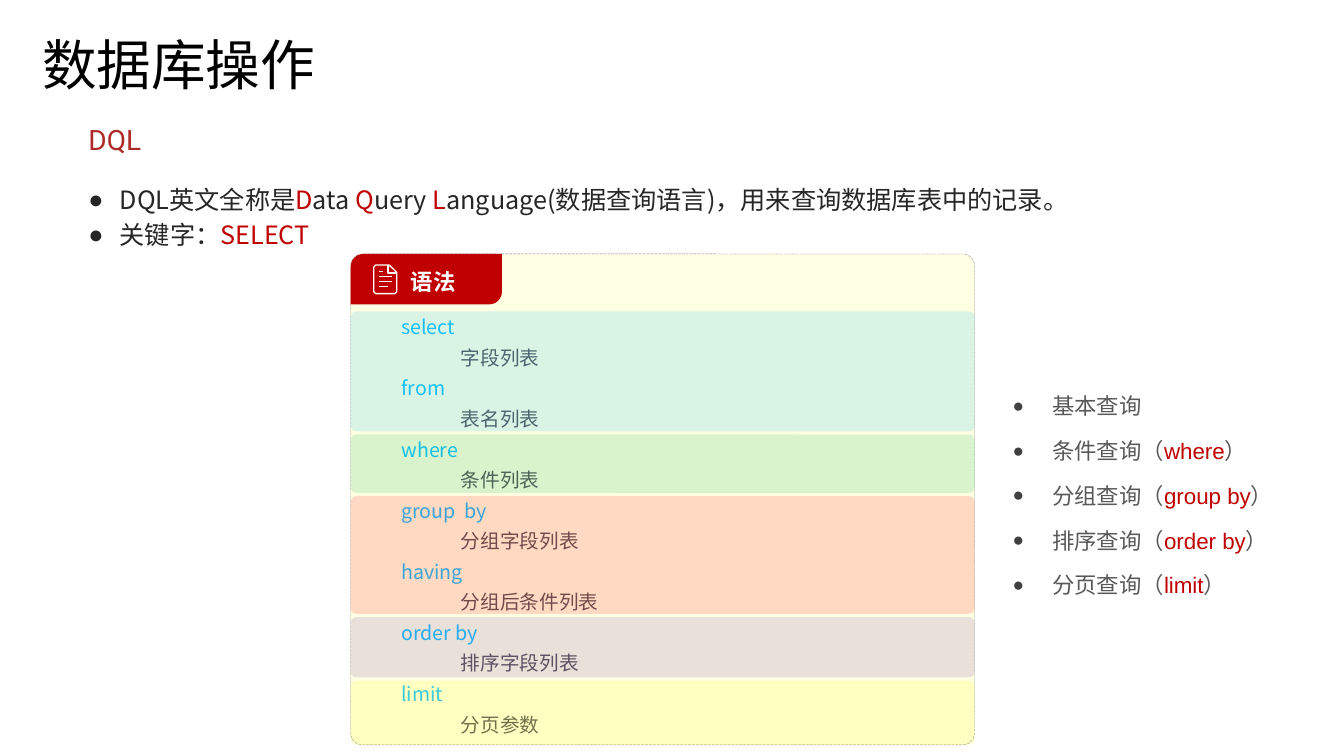
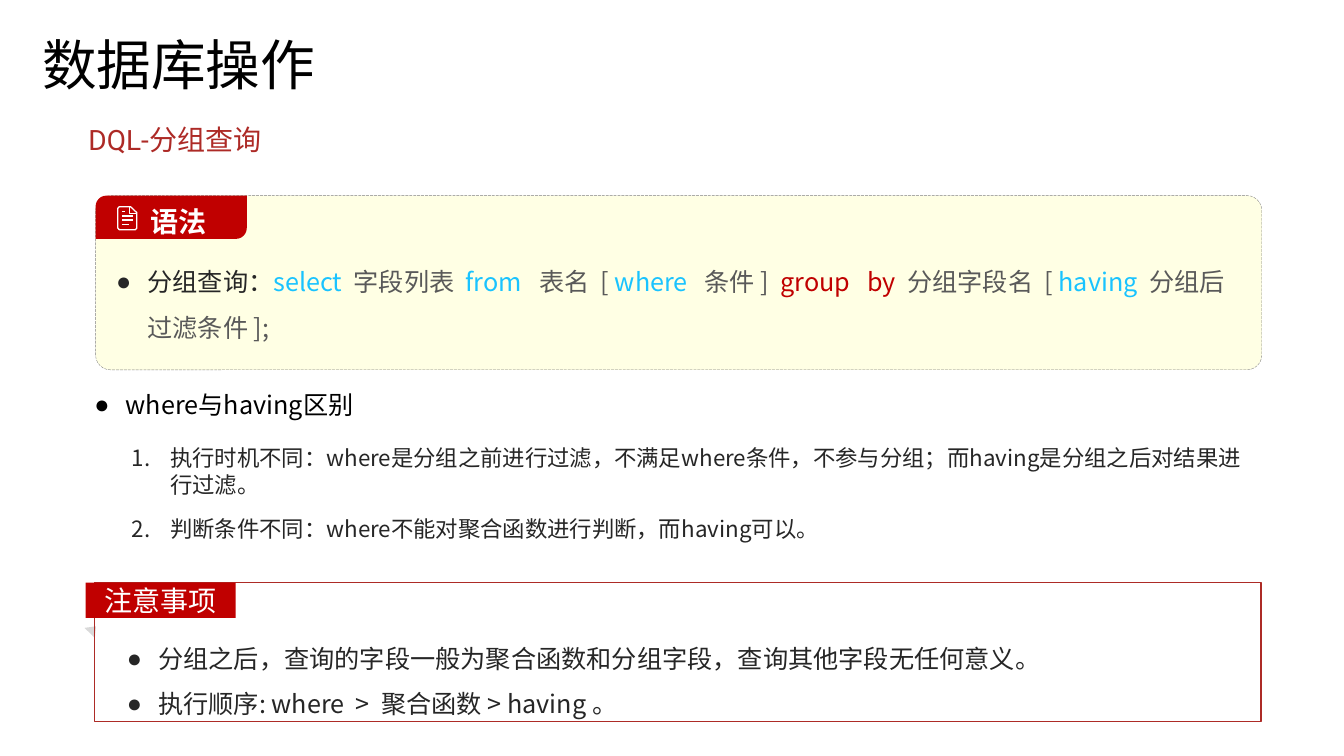
from lxml import etree
from pptx import Presentation
from pptx import util as u
from pptx.dml.color import RGBColor
from pptx.enum import dml, shapes, text
from pptx.oxml.ns import qn

RED, SKY, GREY, INK = "C00000", "19C3FF", "595959", "262626"
BRICK, CREAM, WHITE, BLACK = "AD2A26", "FFFFE4", "FFFFFF", "000000"
CJK, SANS = "Noto Sans CJK JP", "Arial"
KIND = shapes.MSO_SHAPE
LEFT, MID = text.PP_ALIGN.LEFT, text.PP_ALIGN.CENTER
TOP, CENTER = text.MSO_ANCHOR.TOP, text.MSO_ANCHOR.MIDDLE


def tint(color, code):
    """Give a fill, line or font colour a hex value."""
    color.rgb = RGBColor.from_string(code)


def paint(fill, code):
    """Fill with one hex colour, or clear the fill."""
    if code:
        fill.solid()
        tint(fill.fore_color, code)
    else:
        fill.background()


class Deck:
    """Holds the style and the current slide."""

    def __init__(self):
        """Start an empty wide deck."""
        self.prs = Presentation()
        self.prs.slide_width = u.Cm(33.87)
        self.prs.slide_height = u.Cm(19.05)

    def page(self, head, sub):
        """Add a slide with its title and subtitle."""
        self.slide = self.prs.slides.add_slide(self.prs.slide_layouts[5])
        title = self.slide.shapes.title
        title.left, title.top = u.Cm(0.81), u.Cm(0.71)
        title.width, title.height = u.Cm(15.9), u.Cm(1.98)
        self.fill(title, [head], 39, BLACK, "Noto Sans CJK SC", lead=0.9, anchor=CENTER)
        self.box((1.98, 2.79, 29.72, 1.45), [sub], 20, BRICK, "Roboto", anchor=CENTER)

    def mark(self, para, sign, hang, dot):
        """Give a paragraph a hanging bullet or number."""
        props = para._p.get_or_add_pPr()
        props.set("marL", str(u.Cm(hang)))
        props.set("indent", str(-u.Cm(hang)))
        if sign == "1.":
            etree.SubElement(props, qn("a:buAutoNum"), type="arabicPeriod")
            return
        if dot:
            tone = etree.SubElement(props, qn("a:buClr"))
            etree.SubElement(tone, qn("a:srgbClr"), val=dot)
            etree.SubElement(props, qn("a:buSzPct"), val="85000")
        etree.SubElement(props, qn("a:buFont"), typeface=SANS)
        etree.SubElement(props, qn("a:buChar"), char=sign)

    def fill(self, shape, lines, size, color, font=CJK, sign=None, hang=0.79,
             dot=None, lead=1.0, gap=0, bold=False, align=LEFT, anchor=TOP,
             pad=(0.25, 0.13, 0.25, 0.13)):
        """Put lines, each a string or a list of (text, colour) runs, in a shape."""
        frame = shape.text_frame
        frame.word_wrap = True
        frame.auto_size = text.MSO_AUTO_SIZE.NONE
        frame.vertical_anchor = anchor
        (frame.margin_left, frame.margin_top,
         frame.margin_right, frame.margin_bottom) = map(u.Cm, pad)
        for i, line in enumerate(lines):
            para = frame.add_paragraph() if i else frame.paragraphs[0]
            if sign:
                self.mark(para, sign, hang, dot)
            para.alignment = align
            para.line_spacing = lead
            para.space_before = u.Pt(gap if i else 0)
            para.font.size, para.font.name, para.font.bold = u.Pt(size), font, bold
            tint(para.font.color, color)
            for part, tone in [(line, None)] if isinstance(line, str) else line:
                run = para.add_run()
                run.text = part
                if tone:
                    tint(run.font.color, tone)
        return frame

    def box(self, at, lines, size, color, *args, **style):
        """Add a text box."""
        shape = self.slide.shapes.add_textbox(*map(u.Cm, at))
        return self.fill(shape, lines, size, color, *args, **style)

    def shape(self, kind, at, fill=None, line=None, width=0.25, turn=0):
        """Add a flat preset shape."""
        shape = self.slide.shapes.add_shape(kind, *map(u.Cm, at))
        shape.shadow.inherit = False
        shape.rotation = turn
        paint(shape.fill, fill)
        paint(shape.line.fill, line)
        if line:
            shape.line.width = u.Pt(width)
        return shape

    def card(self, at, curve):
        """Add a cream card with a dashed edge."""
        card = self.shape(KIND.ROUNDED_RECTANGLE, at, CREAM, "808080")
        card.line.dash_style = dml.MSO_LINE.LONG_DASH
        card.adjustments[0] = curve
        return card

    def tag(self, left, top, high, size, inset):
        """Add the red syntax tag in a card's corner."""
        tag = self.shape(KIND.ROUND_2_DIAG_RECTANGLE, (left, top, 3.81, high), RED)
        tag.adjustments[0], tag.adjustments[1] = 0.25, 0
        self.fill(tag, ["语法"], size, WHITE, lead=1.5, bold=True,
                  anchor=CENTER, pad=(inset, 0, 0.1, 0.2))

    def icon(self, left, top, wide, high):
        """Draw a folded sheet with its lines of text."""
        strokes = [
            [(0.67, 0), (0.08, 0), (0, 0.07), (0, 0.93), (0.08, 1), (0.92, 1),
             (1, 0.93), (1, 0.26), (0.67, 0)],
            [(0.62, 0), (0.62, 0.28), (1, 0.28)],
            [(0.22, 0.22), (0.4, 0.22)],
            [(0.22, 0.4), (0.78, 0.4)],
            [(0.22, 0.58), (0.78, 0.58)],
            [(0.22, 0.76), (0.6, 0.76)],
        ]
        lines = [[(u.Cm(left + x * wide), u.Cm(top + y * high)) for x, y in stroke]
                 for stroke in strokes]
        pen = self.slide.shapes.build_freeform(*lines[0][0])
        for i, line in enumerate(lines):
            if i:
                pen.move_to(*line[0])
            pen.add_line_segments(line[1:], close=False)
        sheet = pen.convert_to_shape()
        sheet.shadow.inherit = False
        paint(sheet.fill, None)
        paint(sheet.line.fill, WHITE)
        sheet.line.width = u.Pt(0.9)

    def band(self, top, high, color):
        """Lay a sheer colour band over the card."""
        band = self.shape(KIND.ROUNDED_RECTANGLE, (8.84, top, 15.72, high), color)
        band.adjustments[0] = 0.14 / high
        tone = band._element.spPr.find(qn("a:solidFill")).find(qn("a:srgbClr"))
        etree.SubElement(tone, qn("a:alpha"), val="15000")


def query(deck):
    """Build the overview of query syntax."""
    deck.page("数据库操作", "DQL")
    deck.box((1.98, 4.52, 29.9, 3.35), [
        [("DQL英文全称是", None), ("D", RED), ("ata ", None), ("Q", RED),
         ("uery ", None), ("L", RED),
         ("anguage(数据查询语言)，用来查询数据库表中的记录。", None)],
        [("关键字：", None), ("SELECT", RED)],
    ], 18, INK, sign="●", gap=3.6)

    card = deck.card((8.84, 6.4, 15.72, 12.37), 0.024)
    clauses = [("select", "字段列表"), ("from", "表名列表"), ("where", "条件列表"),
               ("group  by", "分组字段列表"), ("having", "分组后条件列表"),
               ("order by", "排序字段列表"), ("limit", "分页参数")]
    lines = [[(part, tone)] for pair in clauses for part, tone in zip(pair, (SKY, GREY))]
    frame = deck.fill(card, lines, 14, GREY, lead=1.3, pad=(1.19, 1.28, 0.25, 0.13))
    for para in frame.paragraphs[1::2]:
        para._p.get_or_add_pPr().set("marL", str(u.Cm(1.5)))
    deck.tag(8.84, 6.4, 1.27, 16, 1.42)

    top = 7.85
    for high, color in [(3.02, "00B0F0"), (1.47, "00B050"), (2.97, "FF0000"),
                        (1.52, "7030A0"), (1.62, "FFFF00")]:
        deck.band(top, high, color)
        top += high + 0.08

    words = ["where", "group by", "order by", "limit"]
    kinds = ["条件", "分组", "排序", "分页"]
    deck.box((25.27, 9.42, 7.59, 5.99), ["基本查询"] + [
        [(kind + "查询（", None), (word, RED), ("）", None)]
        for kind, word in zip(kinds, words)
    ], 16, GREY, SANS, sign="●", hang=1, dot="404040", lead=1.5, gap=3.2)
    deck.icon(9.42, 6.68, 0.58, 0.72)


def group(deck):
    """Build the page on grouped queries."""
    deck.page("数据库操作", "DQL-分组查询")
    card = deck.card((2.41, 4.93, 29.39, 4.39), 0.085)
    deck.fill(card, [[
        ("分组查询：", INK), ("select  ", SKY), ("字段列表  ", None), ("from   ", SKY),
        ("表名  [ ", None), ("where   ", SKY), ("条件 ]  ", None),
        ("group   by  ", RED), ("分组字段名  [ ", None), ("having  ", SKY),
        ("分组后过滤条件 ];", None),
    ]], 18, GREY, sign="●", lead=1.5, pad=(0.41, 1.3, 0.2, 0.71))
    deck.tag(2.41, 4.93, 1.09, 20, 1.3)
    deck.icon(2.97, 5.21, 0.48, 0.58)

    deck.box((2.95, 15.7, 23.22, 2.44), [
        "分组之后，查询的字段一般为聚合函数和分组字段，查询其他字段无任何意义。",
        "执行顺序: where  >  聚合函数 > having 。",
    ], 18, INK, sign="●", lead=1.5)
    deck.shape(KIND.ISOSCELES_TRIANGLE, (2.16, 15.75, 0.36, 0.23), "D9D9D9", turn=44.2)
    deck.shape(KIND.RECTANGLE, (2.39, 14.68, 29.39, 3.51), line="AD2B26", width=0.75)
    label = deck.shape(KIND.RECTANGLE, (2.16, 14.68, 3.78, 0.89), RED)
    deck.fill(label, ["注意事项"], 20, WHITE, SANS, align=MID, anchor=CENTER)

    deck.box((2.13, 9.68, 29.54, 1.02), ["where与having区别"], 18, BLACK, sign="●")
    deck.box((3.07, 11.07, 28.7, 2.74), [
        "执行时机不同：where是分组之前进行过滤，不满足where条件，不参与分组；"
        "而having是分组之后对结果进行过滤。",
        "判断条件不同：where不能对聚合函数进行判断，而having可以。",
    ], 16, INK, sign="1.", hang=0.97, gap=12)


def main():
    """Build and save the deck."""
    deck = Deck()
    query(deck)
    group(deck)
    deck.prs.save("out.pptx")


if __name__ == "__main__":
    main()
